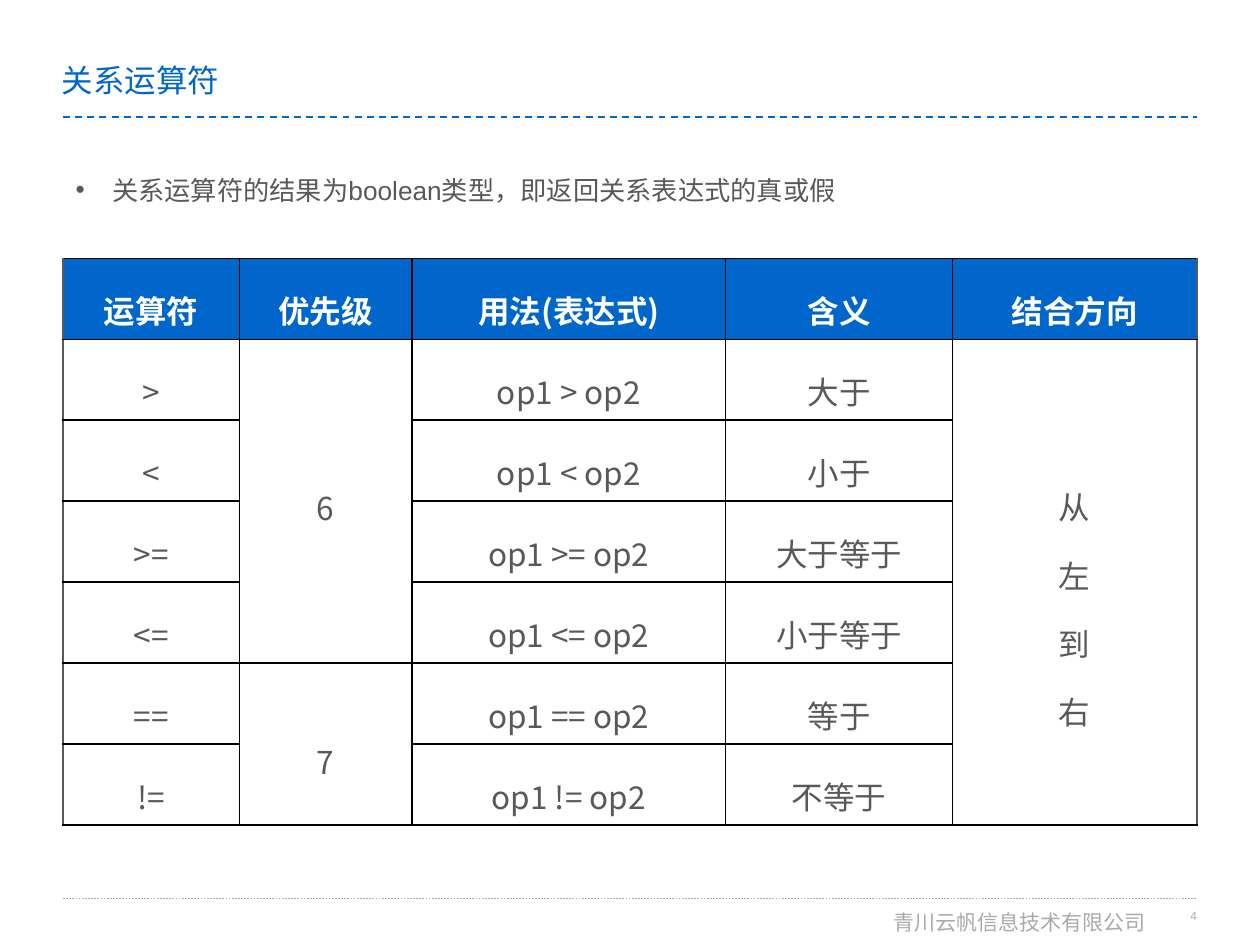
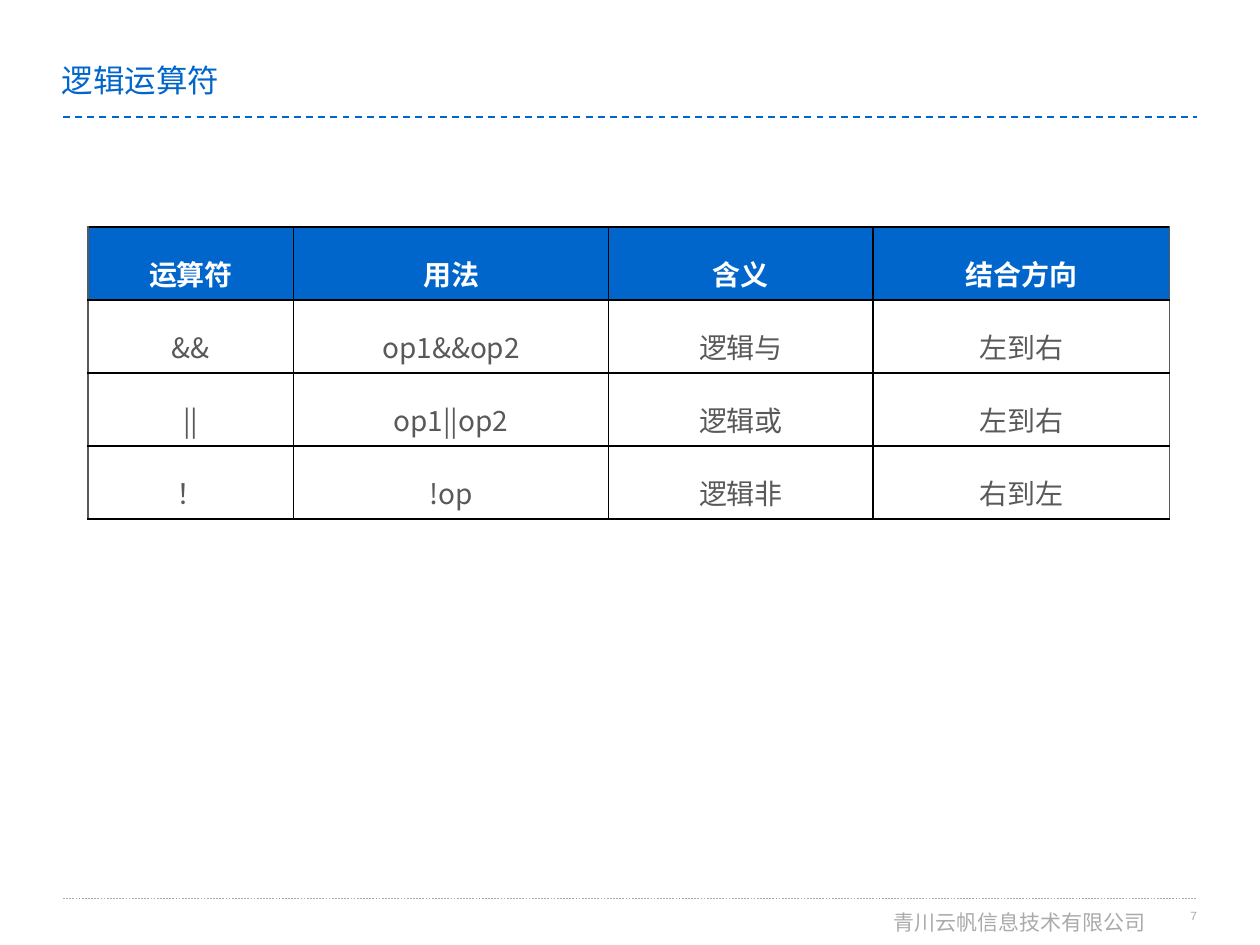
from dataclasses import dataclass

import pptx
import pptx.dml.color
import pptx.enum.dml
import pptx.enum.shapes
import pptx.enum.text
import pptx.util
from lxml import etree
from pptx.oxml.ns import qn

Inches = pptx.util.Inches
Pt = pptx.util.Pt
RGB = pptx.dml.color.RGBColor.from_string
ALIGN = pptx.enum.text.PP_ALIGN
ANCHOR = pptx.enum.text.MSO_ANCHOR
AUTO_SIZE = pptx.enum.text.MSO_AUTO_SIZE


@dataclass(frozen=True)
class Theme:
    blue: str = "0066CC"
    grey: str = "595959"
    pale: str = "AAAAAA"
    white: str = "FFFFFF"
    black: str = "000000"
    font: str = "Arial"
    table_font: str = "Noto Sans CJK SC"
    title_size: float = 18
    body_size: float = 15
    footer_size: float = 12
    number_size: float = 6.8
    left: float = 0.5
    right: float = 9.5


THEME = Theme()
COMPANY = "青川云帆信息技术有限公司"

# "merges" maps a table position to (rows spanned, downward nudge in inches).
SLIDES = [
    {
        "title": "关系运算符",
        "number": "4",
        "bullet": "关系运算符的结果为boolean类型，即返回关系表达式的真或假",
        "table": {
            "at": (0.5, 2.05),
            "widths": (1.4, 1.37, 2.49, 1.8, 1.94),
            "height": 4.5,
            "size": 18,
            "rows": [
                ("运算符", "优先级", "用法(表达式)", "含义", "结合方向"),
                (">", "6", "op1 > op2", "大于", "从\n左\n到\n右"),
                ("<", "", "op1 < op2", "小于", ""),
                (">=", "", "op1 >= op2", "大于等于", ""),
                ("<=", "", "op1 <= op2", "小于等于", ""),
                ("==", "7", "op1 == op2", "等于", ""),
                ("!=", "", "op1 != op2", "不等于", ""),
            ],
            "merges": {(1, 1): (4, -0.05), (5, 1): (2, 0.04), (1, 4): (6, 0.12)},
        },
    },
    {
        "title": "逻辑运算符",
        "number": "7",
        "table": {
            "at": (0.7, 1.8),
            "widths": (1.63, 2.5, 2.1, 2.35),
            "height": 2.32,
            "size": 16,
            "rows": [
                ("运算符", "用法", "含义", "结合方向"),
                ("&&", "op1&&op2", "逻辑与", "左到右"),
                ("||", "op1||op2", "逻辑或", "左到右"),
                ("！", "!op", "逻辑非", "右到左"),
            ],
            "merges": {},
        },
    },
]


def style(para, size, color, font=THEME.font, align=ALIGN.LEFT, bold=False):
    para.alignment = align
    para.font.size = Pt(size)
    para.font.name = font
    para.font.bold = bold
    para.font.color.rgb = RGB(color)


def place(shape, left, top, width, height):
    shape.left, shape.top = Inches(left), Inches(top)
    shape.width, shape.height = Inches(width), Inches(height)


def add_title(page, text):
    title = page.shapes.title
    place(title, 0.49, 0.39, 7.77, 0.52)
    frame = title.text_frame
    frame.text = text
    frame.margin_left = 0
    frame.vertical_anchor = ANCHOR.MIDDLE
    frame.auto_size = AUTO_SIZE.NONE
    para = frame.paragraphs[0]
    para.line_spacing = 0.9
    style(para, THEME.title_size, THEME.blue)


def add_bullet(page, text):
    body = page.placeholders[1]
    place(body, THEME.left, 1.33, 9, 5.53)
    frame = body.text_frame
    frame.text = text
    frame.auto_size = AUTO_SIZE.NONE
    para = frame.paragraphs[0]
    para.space_before = Pt(0)
    style(para, THEME.body_size, THEME.grey)
    properties = para._p.get_or_add_pPr()
    properties.set("marL", str(Inches(0.29)))
    properties.set("indent", str(Inches(-0.29)))


def add_rule(page, top, color, width):
    rule = page.shapes.add_connector(
        pptx.enum.shapes.MSO_CONNECTOR.STRAIGHT,
        Inches(THEME.left), Inches(top), Inches(THEME.right), Inches(top))
    rule.line.color.rgb = RGB(color)
    rule.line.width = Pt(width)
    rule.line.dash_style = pptx.enum.dml.MSO_LINE.DASH
    etree.SubElement(rule._element.spPr, qn("a:effectLst"))


def add_footer_text(page, text, at, size):
    box = page.shapes.add_textbox(*map(Inches, at))
    frame = box.text_frame
    frame.text = text
    frame.word_wrap = False
    frame.auto_size = AUTO_SIZE.SHAPE_TO_FIT_TEXT
    frame.margin_right = 0
    style(frame.paragraphs[0], size, THEME.pale, align=ALIGN.RIGHT)


def add_frame(page, number):
    """Add the rules and footer that every slide carries."""
    add_rule(page, 0.93, THEME.blue, 1)
    add_rule(page, 7.13, THEME.pale, 0.25)
    add_footer_text(page, COMPANY, (6.97, 7.17, 2.12, 0.3), THEME.footer_size)
    add_footer_text(page, number, (9.28, 7.16, 0.22, 0.21), THEME.number_size)


def set_borders(cell, colors):
    properties = cell._tc.get_or_add_tcPr()
    for side, color in colors.items():
        line = etree.SubElement(properties, qn(f"a:ln{side}"), w=str(Pt(1)))
        fill = etree.SubElement(line, qn("a:solidFill"))
        etree.SubElement(fill, qn("a:srgbClr"), val=color)


def format_cell(cell, text, size, is_header, is_first, is_last):
    set_borders(cell, {
        "L": THEME.grey if is_first else THEME.black,
        "R": THEME.grey if is_last else THEME.black,
        "T": THEME.black,
        "B": THEME.black,
    })
    if is_header:
        cell.fill.solid()
        cell.fill.fore_color.rgb = RGB(THEME.blue)
    else:
        cell.fill.background()
    cell.text = text
    for para in cell.text_frame.paragraphs:
        para.line_spacing = 1.5
        style(para, size, THEME.white if is_header else THEME.grey,
              THEME.table_font, ALIGN.CENTER, is_header)


def merge_down(table, row, column, span, nudge):
    """Merge cells downward and centre the text, moved down by nudge inches."""
    cell = table.cell(row, column)
    cell.merge(table.cell(row + span - 1, column))
    cell.vertical_anchor = ANCHOR.MIDDLE
    cell.margin_top = Inches(0.05 + max(0, 2 * nudge))
    cell.margin_bottom = Inches(0.05 + max(0, -2 * nudge))


def add_operator_table(page, content):
    rows, widths = content["rows"], content["widths"]
    table = page.shapes.add_table(
        len(rows), len(widths), *map(Inches, content["at"]),
        Inches(sum(widths)), Inches(content["height"])).table
    table.horz_banding = False
    for column, width in zip(table.columns, widths):
        column.width = Inches(width)
    for r, texts in enumerate(rows):
        for c, text in enumerate(texts):
            format_cell(table.cell(r, c), text, content["size"],
                        r == 0, c == 0, c == len(widths) - 1)
    for (r, c), (span, nudge) in content["merges"].items():
        merge_down(table, r, c, span, nudge)


def main():
    deck = pptx.Presentation()
    deck.slide_width, deck.slide_height = Inches(10), Inches(7.5)
    for content in SLIDES:
        layout = "Title and Content" if "bullet" in content else "Title Only"
        page = deck.slides.add_slide(deck.slide_layouts.get_by_name(layout))
        add_frame(page, content["number"])
        add_title(page, content["title"])
        if "bullet" in content:
            add_bullet(page, content["bullet"])
        add_operator_table(page, content["table"])
    deck.save("out.pptx")


if __name__ == "__main__":
    main()
